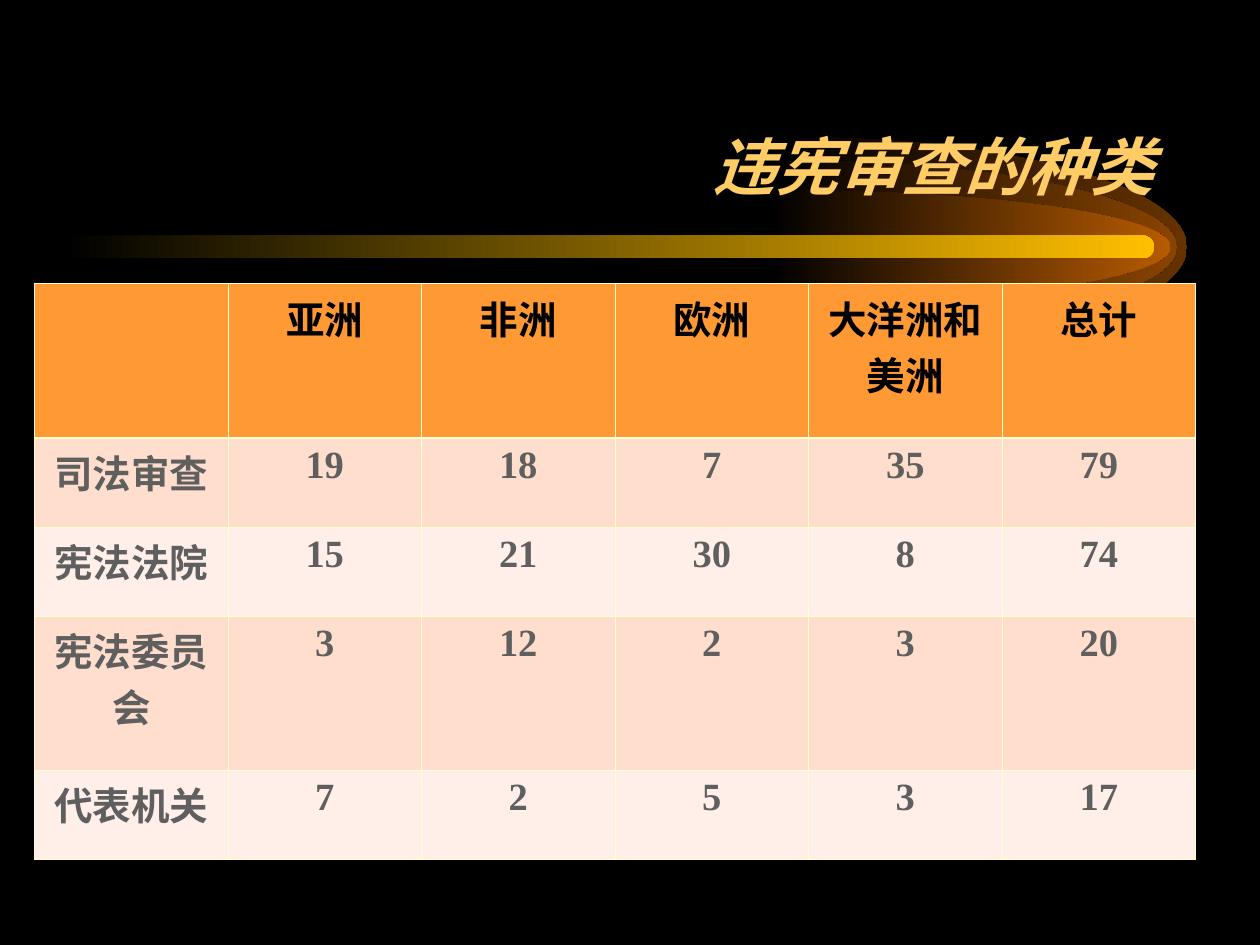
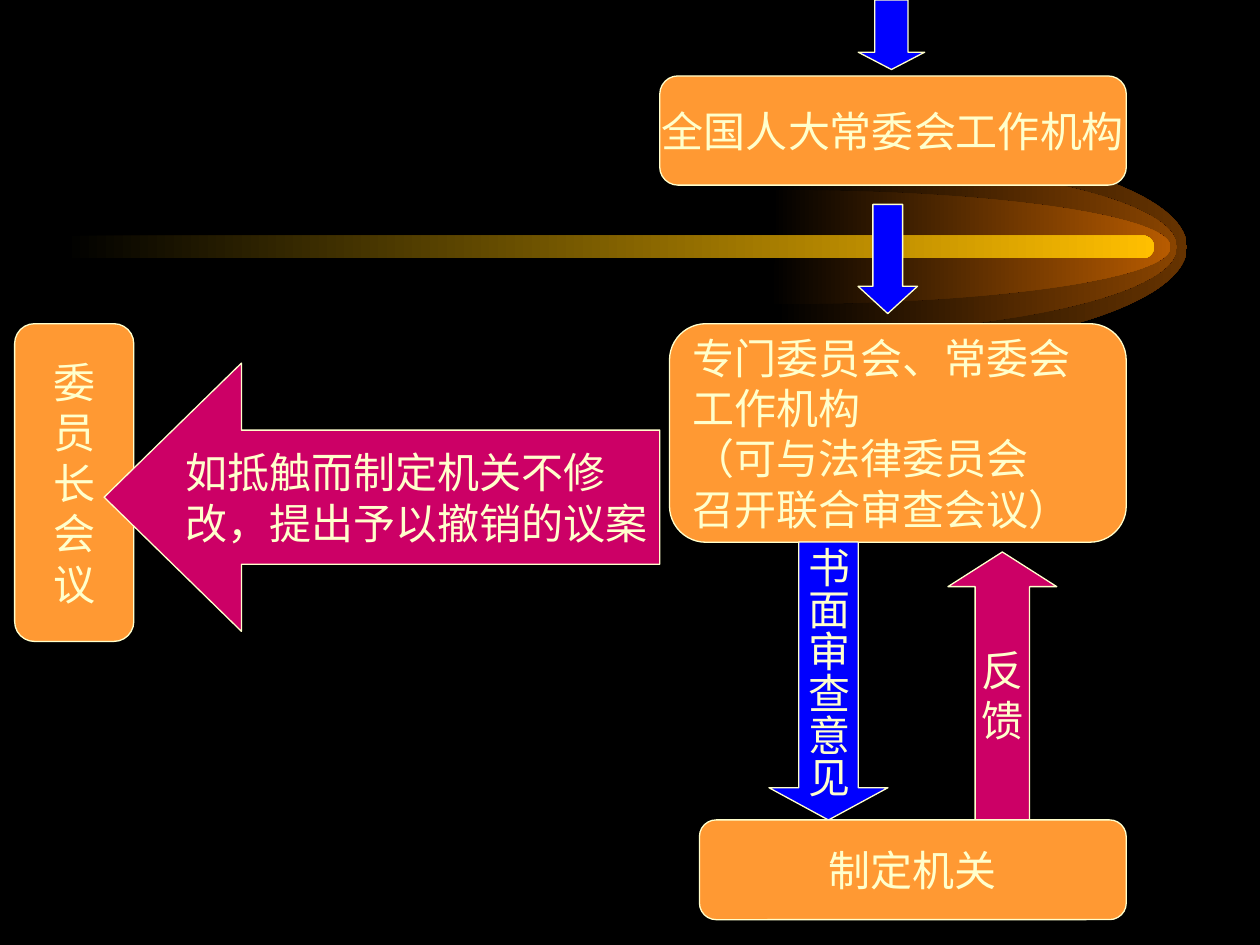
from dataclasses import dataclass

from lxml import etree
from pptx import Presentation
from pptx import util as u
from pptx.dml.color import RGBColor
from pptx.enum import shapes, text
from pptx.oxml import ns

# ---- content (all lengths in points) ----
TITLE = "违宪审查的种类"
TITLE_BOX = (54, 30, 612, 89.5)

REVIEW_COUNTS = [
    ("", "亚洲", "非洲", "欧洲", "大洋洲和美洲", "总计"),
    ("司法审查", "19", "18", "7", "35", "79"),
    ("宪法法院", "15", "21", "30", "8", "74"),
    ("宪法委员会", "3", "12", "2", "3", "20"),
    ("代表机关", "7", "2", "5", "3", "17"),
]
TABLE_AT = (19.7, 162.1)
COL_W = 110.6
ROW_H = (88, 51, 51, 88, 51)

# kind, box, adjustments, colour, lines, alignment, text direction
FLOW = [
    ("box", (377, 43.4, 266.6, 62.4), (), "box", ["全国人大常委会工作机构"], "center", None),
    ("down", (490.4, 0, 38, 39.7), (0.5, 0.26), "down", [], "center", None),
    ("down", (490.3, 116.8, 34, 62.4), (0.5, 0.458), "down", [], "center", None),
    ("box", (382.6, 185, 261, 124.9), (), "box",
     ["专门委员会、常委会", "工作机构", "（可与法律委员会", "召开联合审查会议）"], "left", None),
    ("down", (439.4, 309.8, 68, 158.8), (0.5, 0.271), "down", ["书面审查意见"], "left", "eaVert"),
    ("up", (541.7, 315.4, 62.2, 153.2), (0.5, 0.319), "reply", ["反", "馈"], "center", None),
    ("box", (399.7, 468.5, 243.9, 57), (), "box", ["制定机关"], "center", None),
    ("box", (8.4, 185, 68.1, 181.6), (), "box", list("委员长会议"), "center", None),
    ("left", (59.5, 207.5, 317.5, 153.3), (0.5, 0.512), "reply",
     ["如抵触而制定机关不修", "改，提出予以撤销的议案"], "left", None),
]

# left edge, half height, colour of each half-ellipse behind the bar
GLOWS = [(449.2, 63, "663300"), (443.5, 49.8, "894400"), (439.9, 32.6, "B75B00")]
GLOW_W, GLOW_INDENT, GLOW_MID = 229, 3.6, 141.2
ARC = 0.55  # Bezier handle length of a quarter ellipse
BAR = (36, 134.6, 623.5, 13)


@dataclass(frozen=True)
class Theme:
    back: str = "000000"
    bar: str = "FFBF00"
    title: str = "FFCC66"
    pale: str = "FFFFCC"
    box: str = "FF9933"
    down: str = "0000FF"
    reply: str = "CC0066"
    body: str = "5F5F5F"
    bands: tuple = ("FFDECD", "FFEFE8")
    serif: str = "Times New Roman"
    sans: str = "DejaVu Sans"
    title_size: int = 36
    table_size: int = 22
    flow_size: int = 24
    line: float = 0.75
    rule: float = 0.45
    head_rule: float = 1.47


T = Theme()
KINDS = {
    "box": shapes.MSO_SHAPE.ROUNDED_RECTANGLE,
    "down": shapes.MSO_SHAPE.DOWN_ARROW,
    "up": shapes.MSO_SHAPE.UP_ARROW,
    "left": shapes.MSO_SHAPE.LEFT_ARROW,
}
ALIGN = {
    "left": text.PP_ALIGN.LEFT,
    "center": text.PP_ALIGN.CENTER,
    "right": text.PP_ALIGN.RIGHT,
}


def rgb(code):
    return RGBColor.from_string(code)


def pts(values):
    return [u.Pt(v) for v in values]


def add_run(p, words, size, color, font, bold=False, italic=False):
    r = p.add_run()
    r.text = words
    f = r.font
    f.size, f.name, f.bold, f.italic = u.Pt(size), font, bold, italic
    f.color.rgb = rgb(color)
    return r


def fade(sp, color):
    """Fill from the background colour at left to the given colour at right."""
    sp.shadow.inherit = False
    sp.line.fill.background()
    sp.fill.gradient()
    sp.fill.gradient_angle = 0
    for stop, code, place in zip(sp.fill.gradient_stops, (T.back, color), (0, 1)):
        stop.color.rgb = rgb(code)
        stop.position = place


def curve(sp, count):
    """Turn the first 3 * count line segments of a freeform into Bezier curves."""
    lines = list(sp._element.iter(ns.qn("a:lnTo")))
    for i in range(0, 3 * count, 3):
        bezier = etree.Element(ns.qn("a:cubicBezTo"))
        lines[i].addprevious(bezier)
        for line in lines[i:i + 3]:
            bezier.append(line[0])
            line.getparent().remove(line)


def add_glow(s, left, half, color):
    start = left + GLOW_INDENT
    right = left + GLOW_W
    handle = start + ARC * (right - start)
    top, bottom = GLOW_MID - half, GLOW_MID + half
    outline = [
        (handle, top), (right, GLOW_MID - ARC * half), (right, GLOW_MID),
        (right, GLOW_MID + ARC * half), (handle, bottom), (start, bottom),
        (left, bottom), (start, GLOW_MID),
    ]
    fb = s.shapes.build_freeform(*pts((start, top)))
    fb.add_line_segments([pts(xy) for xy in outline], close=True)
    sp = fb.convert_to_shape()
    curve(sp, 2)
    fade(sp, color)


def add_slide(prs):
    """Blank slide with the black background, the glow and the bar."""
    s = prs.slides.add_slide(prs.slide_layouts[6])
    s.background.fill.solid()
    s.background.fill.fore_color.rgb = rgb(T.back)
    for glow in GLOWS:
        add_glow(s, *glow)
    bar = s.shapes.add_shape(KINDS["box"], *pts(BAR))
    bar.adjustments[0] = 0.5
    fade(bar, T.bar)
    return s


def add_title(s):
    tf = s.shapes.add_textbox(*pts(TITLE_BOX)).text_frame
    tf.word_wrap = True
    tf.vertical_anchor = text.MSO_ANCHOR.BOTTOM
    p = tf.paragraphs[0]
    p.alignment = ALIGN["right"]
    add_run(p, TITLE, T.title_size, T.title, T.serif, bold=True, italic=True)


def set_borders(cell, widths):
    """Draw left, right, top and bottom borders, in that order."""
    tcPr = cell._tc.get_or_add_tcPr()
    for i, (side, width) in enumerate(zip("LRTB", widths)):
        ln = etree.Element(ns.qn(f"a:ln{side}"), w=str(u.Pt(width)))
        fill = etree.SubElement(ln, ns.qn("a:solidFill"))
        etree.SubElement(fill, ns.qn("a:srgbClr"), val=T.pale)
        tcPr.insert(i, ln)


def add_counts_table(s):
    rows, cols = len(REVIEW_COUNTS), len(REVIEW_COUNTS[0])
    size = (COL_W * cols, sum(ROW_H))
    table = s.shapes.add_table(rows, cols, *pts(TABLE_AT + size)).table
    for col in table.columns:
        col.width = u.Pt(COL_W)
    for i, values in enumerate(REVIEW_COUNTS):
        table.rows[i].height = u.Pt(ROW_H[i])
        fill = T.bands[(i - 1) % 2] if i else T.box
        color = T.body if i else T.back
        top = T.head_rule if i == 1 else T.rule
        bottom = T.rule if i else T.head_rule
        for j, value in enumerate(values):
            cell = table.cell(i, j)
            cell.fill.solid()
            cell.fill.fore_color.rgb = rgb(fill)
            set_borders(cell, (T.rule, T.rule, top, bottom))
            if value:
                p = cell.text_frame.paragraphs[0]
                p.alignment = ALIGN["center"]
                add_run(p, value, T.table_size, color, T.serif, bold=True)


def add_flow_shape(s, kind, box, adjustments, color, lines, align, direction):
    sp = s.shapes.add_shape(KINDS[kind], *pts(box))
    sp.shadow.inherit = False
    for i, value in enumerate(adjustments):
        sp.adjustments[i] = value
    sp.fill.solid()
    sp.fill.fore_color.rgb = rgb(getattr(T, color))
    sp.line.color.rgb = rgb(T.pale)
    sp.line.width = u.Pt(T.line)
    tf = sp.text_frame
    tf.word_wrap = False
    tf.vertical_anchor = text.MSO_ANCHOR.MIDDLE
    if direction:
        tf._txBody.bodyPr.set("vert", direction)
        tf.margin_left = tf.margin_right = u.Pt(3.6)
        tf.margin_top, tf.margin_bottom = pts((2.7, 11.7))
    for i, words in enumerate(lines):
        p = tf.add_paragraph() if i else tf.paragraphs[0]
        p.alignment = ALIGN[align]
        r = add_run(p, words, T.flow_size, T.pale, T.sans)
        etree.SubElement(r._r.rPr, ns.qn("a:ea"), typeface=T.sans)


def main():
    prs = Presentation()
    prs.slide_width, prs.slide_height = u.Pt(720), u.Pt(540)

    s = add_slide(prs)
    add_title(s)
    add_counts_table(s)

    s = add_slide(prs)
    for part in FLOW:
        add_flow_shape(s, *part)

    prs.save("out.pptx")


if __name__ == "__main__":
    main()
